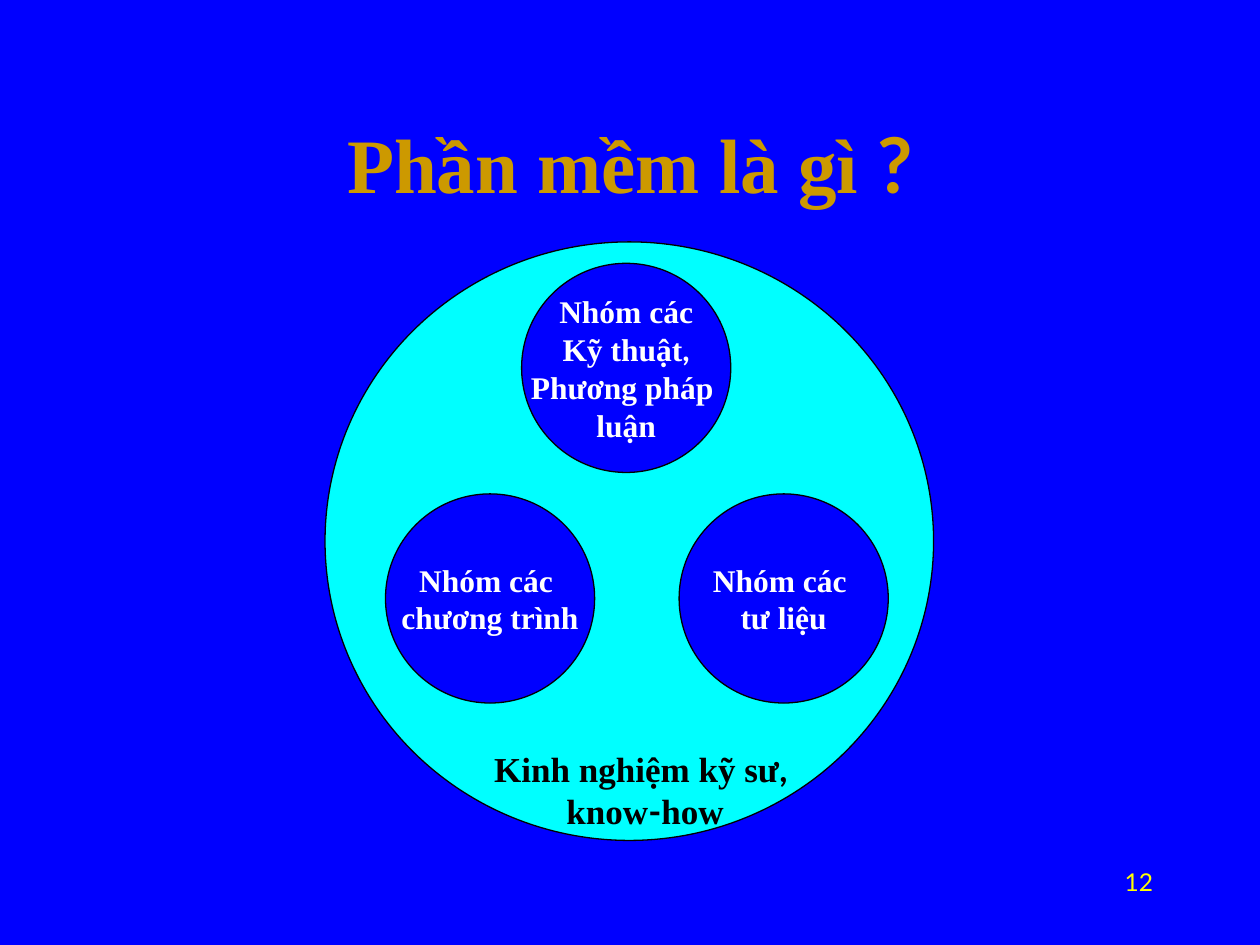
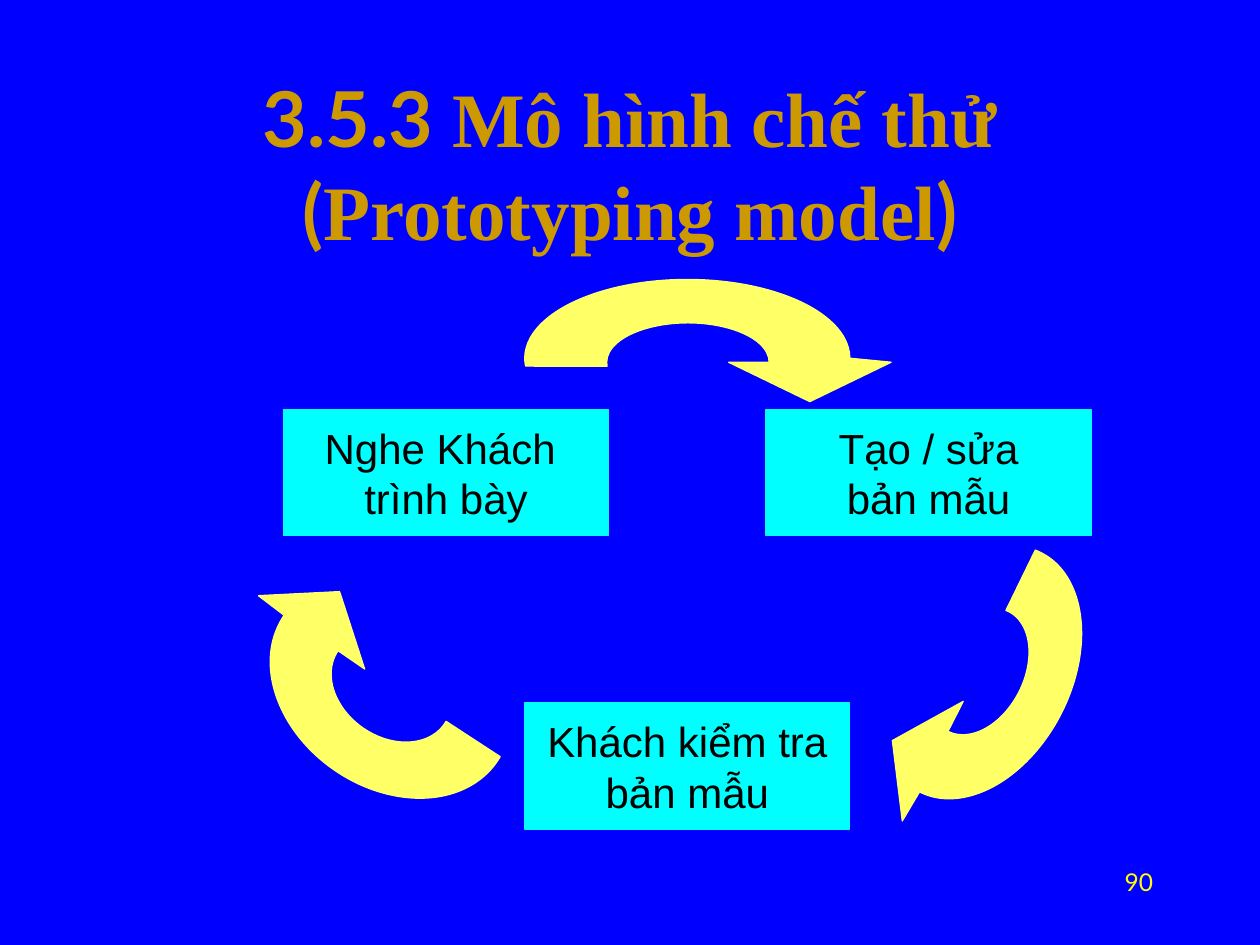
from math import cos, radians, sin

from lxml import etree
from pptx import Presentation
from pptx.dml.color import RGBColor
from pptx.enum.shapes import MSO_SHAPE
from pptx.enum.text import MSO_ANCHOR, MSO_AUTO_SIZE, PP_ALIGN
from pptx.oxml.ns import qn
from pptx.util import Inches, Pt

OVAL, RECT = MSO_SHAPE.OVAL, MSO_SHAPE.RECTANGLE
MID, TOP = MSO_ANCHOR.MIDDLE, MSO_ANCHOR.TOP
MAIN, RIGHT = PP_ALIGN.CENTER, PP_ALIGN.RIGHT
FIXED = MSO_AUTO_SIZE.NONE
TITLE_ONLY = 5

SERIF, SANS, LATO = "Times New Roman", "Arial", "Lato"
COLORS = {
    "blue": "0000FF", "cyan": "00FFFF", "gold": "CC9900", "lemon": "FFFF66",
    "yellow": "FFFF00", "white": "FFFFFF", "black": "000000",
}


def rgb(name):
    return RGBColor.from_string(COLORS[name])


def write(shape, lines, font=SERIF, size=18, color="black", bold=False,
          align=MAIN, anchor=MID, wrap=False):
    """Fill a shape with lines; "|" switches between font and Lato."""
    frame = shape.text_frame
    frame.auto_size = FIXED
    frame.word_wrap = wrap
    frame.vertical_anchor = anchor
    for row, line in enumerate(lines):
        para = frame.paragraphs[0] if row == 0 else frame.add_paragraph()
        para.alignment = align
        for part, text in enumerate(line.split("|")):
            if text:
                run = para.add_run()
                run.text = text
                run.font.name = LATO if part % 2 else font
                run.font.size = Pt(size)
                run.font.bold = bold
                run.font.color.rgb = rgb(color)


def paint(shape, fill, line):
    shape.shadow.inherit = False
    shape.fill.solid()
    shape.fill.fore_color.rgb = rgb(fill)
    shape.line.color.rgb = rgb(line)
    shape.line.width = Pt(0.75)


def add_box(slide, kind, box, fill, line):
    shape = slide.shapes.add_shape(kind, *map(Inches, box))
    paint(shape, fill, line)
    return shape


def add_label(slide, box, lines, **style):
    label = slide.shapes.add_textbox(*map(Inches, box))
    write(label, lines, anchor=TOP, **style)


def add_arrow(slide, box, turn=0):
    """Draw a half-ring arrow inside the box, turned about its centre."""
    left, top, wide, high = map(Inches, box)
    pen = slide.shapes.build_freeform(left, top)
    pen.add_line_segments([(left + wide, top), (left + wide, top + high),
                           (left, top + high)], close=True)
    shape = pen.convert_to_shape()
    outline = next(shape.element.iter(qn("a:path")))
    for step in list(outline):
        outline.remove(step)

    def go(tag, x, y):
        step = etree.SubElement(outline, qn(tag))
        etree.SubElement(step, qn("a:pt"), x=str(round((0.5 + x) * wide)),
                         y=str(round((0.5 + y) * high)))

    def arc(size, start, sweep):
        etree.SubElement(outline, qn("a:arcTo"), wR=str(round(size * wide)),
                         hR=str(round(size * high)),
                         stAng=str(round(start * 60000)),
                         swAng=str(round(sweep * 60000)))

    # Inner edge, tail, outer edge, then the head
    tail, hole, rim = 177.2, 0.25, 0.5
    go("a:moveTo", hole, 0)
    arc(hole, 360, tail - 360)
    go("a:lnTo", rim * cos(radians(tail)), rim * sin(radians(tail)))
    arc(rim, tail, 360 - tail)
    for x, y in [(0.625, 0), (0.375, 0.25), (0.125, 0)]:
        go("a:lnTo", x, y)
    etree.SubElement(outline, qn("a:close"))
    shape.rotation = turn
    paint(shape, "lemon", "lemon")


def add_slide(deck, title, number):
    """Add a slide with the shared title and page number."""
    slide = deck.slides.add_slide(deck.slide_layouts[TITLE_ONLY])
    head = slide.shapes.title
    head.left, head.top = Inches(0.75), Inches(0.67)
    head.width, head.height = Inches(8.5), Inches(1.25)
    write(head, [title], size=44, color="gold", bold=True, wrap=True)
    add_label(slide, (7.17, 6.83, 2.08, 0.5), [number], font=LATO, size=14,
              color="yellow", align=RIGHT, wrap=True)
    return slide


def draw_groups(slide, box):
    """Large circle holding three groups and a caption."""
    left, top, _, _ = box
    add_box(slide, OVAL, box, "cyan", "black")
    side = 1.66
    groups = [
        (1.56, 0.17, ["Nhóm các", "Kỹ thuật|,", "Phương pháp ", "luận"]),
        (0.48, 2.0, ["Nhóm các ", "chương trình"]),
        (2.81, 2.0, ["Nhóm các ", "tư liệu"]),
    ]
    for x, y, lines in groups:
        group = add_box(slide, OVAL, (left + x, top + y, side, side),
                        "blue", "black")
        write(group, lines, color="white", bold=True)
    add_label(slide, (left + 1.23, top + 3.96, 2.62, 0.77),
              ["Kinh nghiệm kỹ sư|, ", "know|-|how"], size=20, bold=True)


def draw_cycle(slide, box):
    """Three steps joined in a loop by curved arrows."""
    left, top, width, height = box
    wide, high = 2.58, 1
    arrows = [
        (1.92, 0, 2.58, 1.25, 0),
        (-0.17, 2.42, 2.05, 1.57, 214.6),
        (4.45, 2.36, 2.13, 1.44, 117),
    ]
    for x, y, w, h, turn in arrows:
        add_arrow(slide, (left + x, top + y, w, h), turn)
    steps = [
        (0, 1, ["Nghe Khách ", "trình bày"]),
        (width - wide, 1, ["Tạo / sửa", "bản mẫu"]),
        ((width - wide) / 2, height - high, ["Khách kiểm tra", "bản mẫu"]),
    ]
    for x, y, lines in steps:
        step = add_box(slide, RECT, (left + x, top + y, wide, high),
                       "cyan", "cyan")
        write(step, lines, font=SANS, size=24)


def main():
    deck = Presentation()
    deck.slide_width, deck.slide_height = Inches(10), Inches(7.5)
    back = deck.slide_master.background.fill
    back.solid()
    back.fore_color.rgb = rgb("blue")

    slide = add_slide(deck, "Phần mềm là gì| ?", "12")
    draw_groups(slide, (2.58, 1.92, 4.83, 4.75))

    slide = add_slide(
        deck, "|3.5.3 |Mô hình chế thử| (|Prototyping model|)", "90")
    draw_cycle(slide, (2.25, 2.25, 6.41, 4.33))

    deck.save("out.pptx")


if __name__ == "__main__":
    main()
